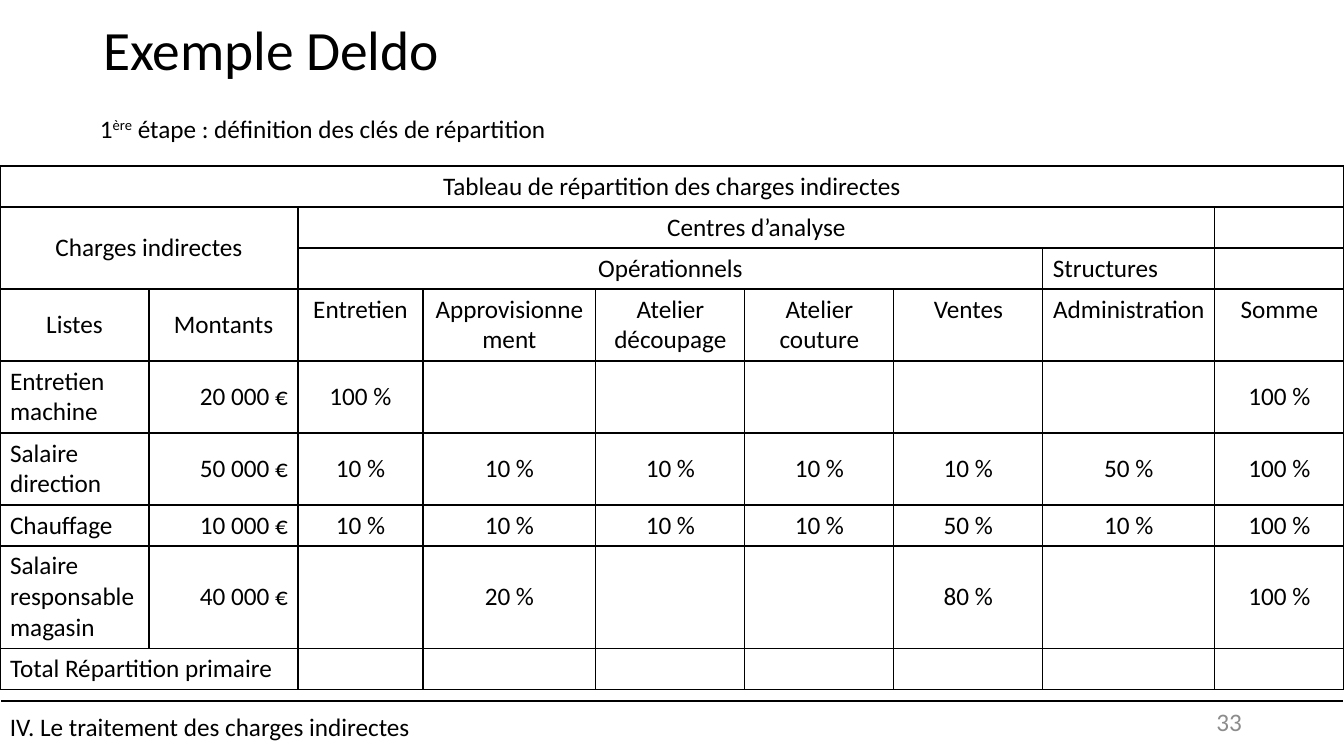
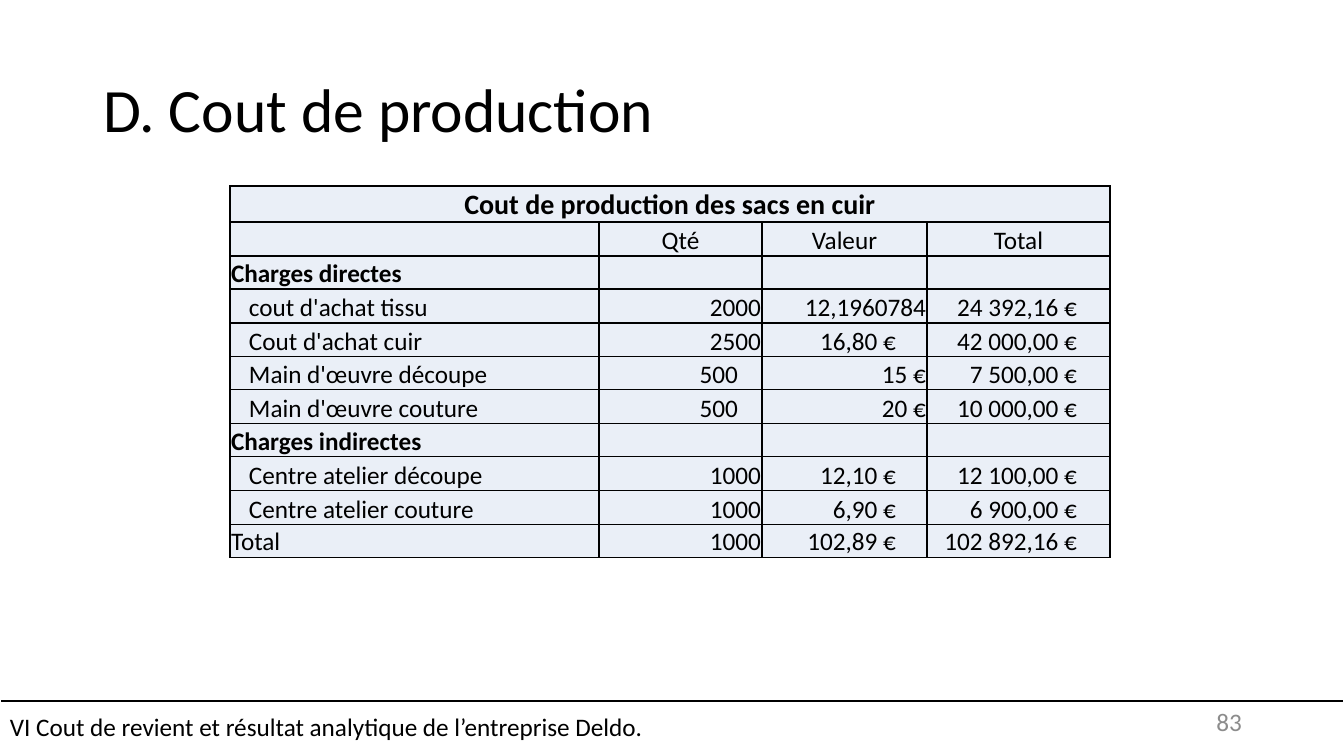
"""Build two slides on the allocation of indirect costs and on production cost."""
from lxml import etree
from pptx import Presentation
from pptx.dml.color import RGBColor
from pptx.enum.shapes import MSO_CONNECTOR, MSO_SHAPE
from pptx.enum.text import MSO_ANCHOR as ANCHOR, MSO_AUTO_SIZE, PP_ALIGN as ALIGN
from pptx.oxml.ns import qn
from pptx.util import Emu, Pt

SLIDE_W, SLIDE_H = 1344, 756
FONT = "Calibri"
BLACK = RGBColor(0x00, 0x00, 0x00)
WHITE = RGBColor(0xFF, 0xFF, 0xFF)
GREY = RGBColor(0x8C, 0x8C, 0x8C)
PALE_BLUE = RGBColor(0xEA, 0xEF, 0xF7)

KEY_COLS = [149, 149, 125, 173, 149, 149, 149, 172, 129]
KEY_ROWS = [41, 41, 41, 72, 72, 72, 41, 102, 41]
KEY_MERGES = [(0, 0, 0, 8), (1, 0, 2, 1), (1, 2, 1, 7), (2, 2, 2, 6), (8, 0, 8, 1)]
KEY_CELLS = [
    ["Tableau de répartition des charges indirectes"],
    ["Charges indirectes", "", "Centres d’analyse"],
    ["", "", "Opérationnels", "", "", "", "", "Structures"],
    ["Listes", "Montants", "Entretien", "Approvisionnement", "Atelier découpage",
     "Atelier couture", "Ventes", "Administration", "Somme"],
    ["Entretien machine", "20 000 €", "100 %", "", "", "", "", "", "100 %"],
    ["Salaire direction", "50 000 €", "10 %", "10 %", "10 %", "10 %", "10 %", "50 %", "100 %"],
    ["Chauffage", "10 000 €", "10 %", "10 %", "10 %", "10 %", "50 %", "10 %", "100 %"],
    ["Salaire responsable magasin", "40 000 €", "", "20 %", "", "", "80 %", "", "100 %"],
    ["Total Répartition primaire"],
]

COST_COLS = [369, 163, 165, 183]
COST_ROWS = [36] + [34, 33, 34, 34, 33] * 2
COST_MERGES = [(0, 0, 0, 3)]
COST_CELLS = [
    ["Cout de production des sacs en cuir"],
    ["", "Qté", "Valeur", "Total"],
    ["Charges directes"],
    ["cout d'achat tissu", "2000", "12,1960784", "24 392,16 €"],
    ["Cout d'achat cuir", "2500", "16,80 €", "42 000,00 €"],
    ["Main d'œuvre découpe", "500", "15 €", "7 500,00 €"],
    ["Main d'œuvre couture", "500", "20 €", "10 000,00 €"],
    ["Charges indirectes"],
    ["Centre atelier découpe", "1000", "12,10 €", "12 100,00 €"],
    ["Centre atelier couture", "1000", "6,90 €", "6 900,00 €"],
    ["Total", "1000", "102,89 €", "102 892,16 €"],
]
COST_HEADINGS = (0, 2, 7)
COST_ENTRIES = (3, 4, 5, 6, 8, 9)


def px(n):
    """Turn px into EMU."""
    return Emu(round(n * 914400 / 100.8))


def box(x, y, w, h):
    """Turn a px rectangle into EMU arguments."""
    return px(x), px(y), px(w), px(h)


def add_run(p, text, size=18, color=BLACK, bold=False):
    """Append one formatted run to a paragraph."""
    r = p.add_run()
    r.text = text
    r.font.name, r.font.size, r.font.bold = FONT, Pt(size), bold
    r.font.color.rgb = color
    return r


def add_title(s, text, size, top, height):
    """Place and fill the title placeholder."""
    sp = s.shapes.title
    sp.left, sp.top, sp.width, sp.height = box(93, top, 1159, height)
    tf = sp.text_frame
    tf.auto_size, tf.vertical_anchor = MSO_AUTO_SIZE.NONE, ANCHOR.MIDDLE
    p = tf.paragraphs[0]
    p.alignment, p.line_spacing = ALIGN.LEFT, 0.9
    add_run(p, text, size)


def add_text(s, rect, align=ALIGN.LEFT, anchor=ANCHOR.TOP):
    """Add a wrapping text box and return its paragraph."""
    tf = s.shapes.add_textbox(*box(*rect)).text_frame
    tf.word_wrap, tf.vertical_anchor = True, anchor
    p = tf.paragraphs[0]
    p.alignment = align
    return p


def add_footer(s, chapter, number):
    """Add the rule, the chapter band and the page number."""
    rule = s.shapes.add_connector(MSO_CONNECTOR.STRAIGHT, 0, px(701), px(SLIDE_W), px(701))
    rule.line.color.rgb, rule.line.width = BLACK, Pt(1.5)
    etree.SubElement(rule._element.spPr, qn("a:effectLst"))
    band = s.shapes.add_shape(MSO_SHAPE.RECTANGLE, *box(0, 696, SLIDE_W, 60))
    band.shadow.inherit = False
    band.fill.background()
    band.line.color.rgb, band.line.width = WHITE, Pt(1)
    tf = band.text_frame
    tf.word_wrap, tf.vertical_anchor = True, ANCHOR.MIDDLE
    tf.paragraphs[0].alignment = ALIGN.LEFT
    add_run(tf.paragraphs[0], chapter)
    add_run(add_text(s, (950, 701, 302, 40), ALIGN.RIGHT, ANCHOR.MIDDLE), number, color=GREY)


def add_borders(cell):
    """Draw a thin black line on each side of a cell."""
    tc_pr = cell._tc.get_or_add_tcPr()
    for side in ("lnL", "lnR", "lnT", "lnB"):
        ln = etree.SubElement(tc_pr, qn(f"a:{side}"), w=str(Pt(1)))
        fill = etree.SubElement(ln, qn("a:solidFill"))
        etree.SubElement(fill, qn("a:srgbClr"), val=str(BLACK))


def add_grid(s, x, y, cols, rows, cells, merges, style):
    """Add a bordered table whose cells are formatted by the style function."""
    frame = s.shapes.add_table(len(rows), len(cols), *box(x, y, sum(cols), sum(rows)))
    table = frame.table
    table.first_row = table.horz_banding = False
    for col, width in zip(table.columns, cols):
        col.width = px(width)
    for row, height in zip(table.rows, rows):
        row.height = px(height)
    for top, left, bottom, right in merges:
        table.cell(top, left).merge(table.cell(bottom, right))
    for i, texts in enumerate(cells):
        for j in range(len(cols)):
            cell = table.cell(i, j)
            add_borders(cell)
            text = texts[j] if j < len(texts) else ""
            font = style(cell, i, j, text)
            if text:
                add_run(cell.text_frame.paragraphs[0], text, **font)


def style_key_cell(cell, i, j, text):
    """Format a cell of the allocation table."""
    cell.fill.background()
    label = (i > 3 and j == 0) or text == "Structures"
    amount = i > 3 and j == 1
    align = ALIGN.LEFT if label else ALIGN.RIGHT if amount else ALIGN.CENTER
    cell.text_frame.paragraphs[0].alignment = align
    middle = j > 0 if i > 3 else i > 0 and j < 2
    cell.vertical_anchor = ANCHOR.MIDDLE if middle else ANCHOR.TOP
    return {}


def style_cost_cell(cell, i, j, text):
    """Format a cell of the production cost table."""
    cell.fill.solid()
    cell.fill.fore_color.rgb = PALE_BLUE
    cell.vertical_anchor = ANCHOR.BOTTOM
    align = ALIGN.CENTER if i < 2 else ALIGN.RIGHT if j else ALIGN.LEFT
    cell.text_frame.paragraphs[0].alignment = align
    right = 1
    if i > 1 and j == 3:
        right = 33
    elif j == 2 and text.endswith(",{} €".format(text[-4:-2])):
        right = 31
    elif text == "500":
        right = 24
    cell.margin_left = px(19 if j == 0 and i in COST_ENTRIES else 1)
    cell.margin_right, cell.margin_top, cell.margin_bottom = px(right), px(1), 0
    return {"size": 18 if i else 20, "bold": j == 0 and i in COST_HEADINGS}


def build_keys_slide(s):
    """Fill the slide on allocation keys."""
    add_title(s, "Exemple Deldo", 39.6, 17, 72)
    add_grid(s, 0, 166, KEY_COLS, KEY_ROWS, KEY_CELLS, KEY_MERGES, style_key_cell)
    p = add_text(s, (90, 108, 536, 40))
    add_run(p, "1")
    add_run(p, "ère")._r.get_or_add_rPr().set("baseline", "30000")
    add_run(p, " étape : définition des clés de répartition")
    add_footer(s, "IV. Le traitement des charges indirectes", "33")


def build_cost_slide(s):
    """Fill the slide on production cost."""
    add_title(s, "D. Cout de production", 44, 40, 146)
    add_footer(s, "VI Cout de revient et résultat analytique de l’entreprise Deldo.", "83")
    add_grid(s, 230, 186, COST_COLS, COST_ROWS, COST_CELLS, COST_MERGES, style_cost_cell)


def main():
    """Build and save the presentation."""
    prs = Presentation()
    prs.slide_width, prs.slide_height = px(SLIDE_W), px(SLIDE_H)
    for build in (build_keys_slide, build_cost_slide):
        build(prs.slides.add_slide(prs.slide_layouts[5]))
    prs.save("out.pptx")


if __name__ == "__main__":
    main()
